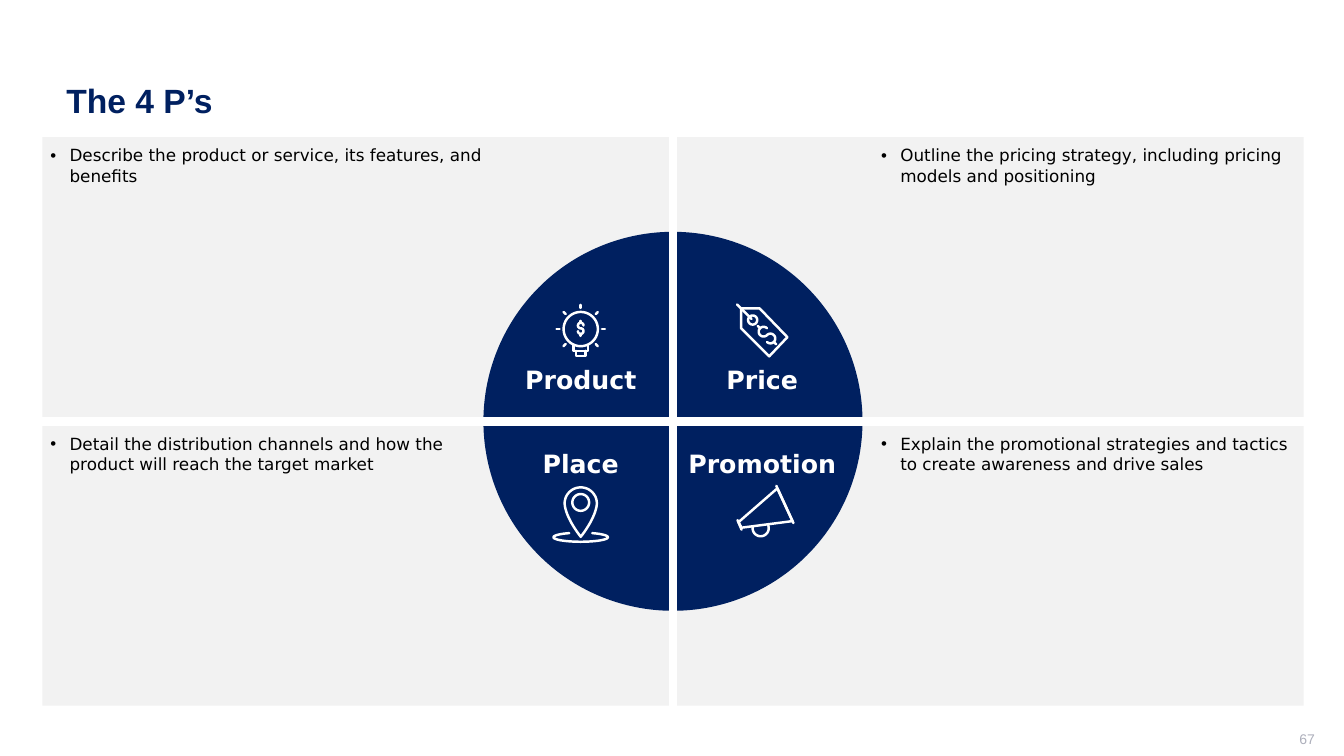
from math import cos, sin, radians

from lxml.etree import SubElement
from pptx import Presentation
from pptx.dml.color import RGBColor
from pptx.enum.shapes import MSO_CONNECTOR, MSO_SHAPE
from pptx.enum.text import MSO_ANCHOR, MSO_AUTO_SIZE, PP_ALIGN
from pptx.oxml.ns import qn
from pptx.util import Inches, Pt

NAVY = RGBColor(0x00, 0x20, 0x60)
PANEL = RGBColor(0xF2, 0xF2, 0xF2)
WHITE = RGBColor(0xFF, 0xFF, 0xFF)
BLACK = RGBColor(0x00, 0x00, 0x00)
GREY = RGBColor(0xAD, 0xAF, 0xBB)

LEFT, TOP, WIDTH, HEIGHT = 0.42, 1.36, 12.51, 5.64
MID_X, MID_Y = LEFT + WIDTH / 2, TOP + HEIGHT / 2
DISC = 3.76
COLS = (5.76, 7.56)
ICON_ROWS = (3.28, 5.08)
LABEL_ROWS = (3.61, 4.45)
NOTE_ROWS = (TOP, 4.22)
NOTE_COLS = ((LEFT, 4.45), (8.66, 4.27))

prs = Presentation()
prs.slide_width, prs.slide_height = Inches(13.33), Inches(7.5)
slide = prs.slides.add_slide(prs.slide_layouts[6])


def add_text(text, box, insets, font, align=PP_ALIGN.LEFT, anchor=MSO_ANCHOR.TOP, before=0):
    tf = slide.shapes.add_textbox(*map(Inches, box)).text_frame
    sides = ("margin_left", "margin_top", "margin_right", "margin_bottom")
    frame = dict(zip(sides, map(Inches, insets)))
    frame.update(word_wrap=True, vertical_anchor=anchor)
    if anchor == MSO_ANCHOR.TOP:
        frame["auto_size"] = MSO_AUTO_SIZE.SHAPE_TO_FIT_TEXT
    for name, value in frame.items():
        setattr(tf, name, value)
    p = tf.paragraphs[0]
    p.alignment, p.space_before = align, Pt(before)
    r = p.add_run()
    r.text = text
    for name, value in font.items():
        if name == "color":
            r.font.color.rgb = value
        else:
            setattr(r.font, name, value)
    return p


def arc(x, y, rx, ry, start=0, end=360):
    steps = 40
    angles = [radians(start + (end - start) * i / steps) for i in range(steps + 1)]
    return [(x + rx * cos(a), y + ry * sin(a)) for a in angles]


add_text("The 4 P’s", (0.56, 0.4, 12.11, 1.19), (0.1, 0.05, 0.1, 0.05),
         dict(size=Pt(24), name="Arial", bold=True, color=NAVY), anchor=MSO_ANCHOR.MIDDLE)

for kind, box, color in (
    (MSO_SHAPE.RECTANGLE, (LEFT, TOP, WIDTH, HEIGHT), PANEL),
    (MSO_SHAPE.OVAL, (MID_X - DISC / 2, MID_Y - DISC / 2, DISC, DISC), NAVY),
):
    s = slide.shapes.add_shape(kind, *map(Inches, box))
    s.shadow.inherit = False
    s.fill.solid()
    s.fill.fore_color.rgb = color
    s.line.fill.background()
    if kind == MSO_SHAPE.RECTANGLE:
        panel = s

for start, end in ((2, 0), (1, 3)):
    c = slide.shapes.add_connector(MSO_CONNECTOR.STRAIGHT, 0, 0, 0, 0)
    c.begin_connect(panel, start)
    c.end_connect(panel, end)
    c.line.color.rgb = WHITE
    c.line.width = Pt(6)
    SubElement(c.element.spPr, qn("a:effectLst"))

quadrants = (
    ("Product", "Describe the product or service, its features, and benefits"),
    ("Price", "Outline the pricing strategy, including pricing models and positioning"),
    ("Place", "Detail the distribution channels and how the product will reach the target market"),
    ("Promotion", "Explain the promotional strategies and tactics to create awareness and drive sales"),
)
for i, (label, note) in enumerate(quadrants):
    row, col = divmod(i, 2)
    x, w = NOTE_COLS[col]
    p = add_text(note, (x, NOTE_ROWS[row], w, 0.48), (0.08, 0.08, 0.04, 0),
                 dict(size=Pt(12), name="DejaVu Sans", color=BLACK), before=3)
    pPr = p._p.get_or_add_pPr()
    pPr.set("marL", str(Inches(0.19)))
    pPr.set("indent", str(-Inches(0.19)))
    SubElement(pPr, qn("a:buFont")).set("typeface", "Arial")
    SubElement(pPr, qn("a:buChar")).set("char", "•")
    add_text(label, (COLS[col] - 0.77, LABEL_ROWS[row], 1.54, 0.3), (0, 0, 0, 0),
             dict(size=Pt(18), name="DejaVu Sans", bold=True, color=WHITE),
             PP_ALIGN.CENTER, before=3)

dollars = []
for x, y, r, turn in ((0, -2.25, 2.75, 0), (4.75, 4.5, 4.8, -45)):
    dx, dy = cos(radians(90 + turn)), sin(radians(90 + turn))
    curve = arc(x - r * dx, y - r * dy, r, r, turn, turn - 270)
    curve += arc(x + r * dx, y + r * dy, r, r, turn - 90, turn + 180)
    ticks = [[(x + k * r * dx, y + k * r * dy) for k in (2 * sign, 2.7 * sign)]
             for sign in (-1, 1)]
    dollars.append([curve] + ticks)

rays = [[(k * cos(radians(a)), -1.5 + k * sin(radians(a))) for k in (21, 24)]
        for a in range(-225, 46, 45)]
bulb = [arc(0, -1.5, 17, 17),
        [(-7.2, 14), (-7.2, 20), (7.2, 20), (7.2, 14)],
        [(-4.8, 20), (-4.8, 25), (4.8, 25), (4.8, 20)]] + rays + dollars[0]
tag = [[(-21, -22), (-2.5, -22), (25, 6.5), (7, 25.5), (-21, -2.5), (-21, -22)],
       arc(-9.5, -10.5, 4.5, 4.5),
       [(-25, -26), (-10.5, -11.5)]] + dollars[1]
taper = [(16 * (1 - (k / 12) ** 1.6), -8.5 + 33 * k / 12) for k in range(13)]
pin = [arc(0, -9.5, 8.3, 8.3),
       arc(0, -8.5, 16, 16, 180, 360) + taper + [(-x, y) for x, y in reversed(taper)],
       arc(0, 25, 27, 4.5, -65, 245)]
megaphone = [[(-20.5, 15.5), (-23.5, 10), (15, -23.5), (30, 9), (-20.5, 15.5)],
             [(-24.5, 8), (-20.5, 17.5)], [(14, -26), (31, 11)],
             arc(-1.5, 16, 8, 8, -20, 190)]

for i, icon in enumerate((bulb, tag, pin, megaphone)):
    row, col = divmod(i, 2)
    for stroke in icon:
        pts = [(Inches(COLS[col] + x / 100), Inches(ICON_ROWS[row] + y / 100))
               for x, y in stroke]
        fb = slide.shapes.build_freeform(*pts[0])
        fb.add_line_segments(pts[1:], close=pts[0] == pts[-1])
        s = fb.convert_to_shape()
        s.shadow.inherit = False
        s.fill.background()
        s.line.color.rgb = WHITE
        s.line.width = Pt(1.75)
        s.element.spPr.get_or_add_ln().set("cap", "rnd")

add_text("67", (10.04, 7.25, 3, 0.21), (0.1, 0, 0, 0.05),
         dict(size=Pt(10), name="Arial", color=GREY), PP_ALIGN.RIGHT, MSO_ANCHOR.MIDDLE)

prs.save("out.pptx")
